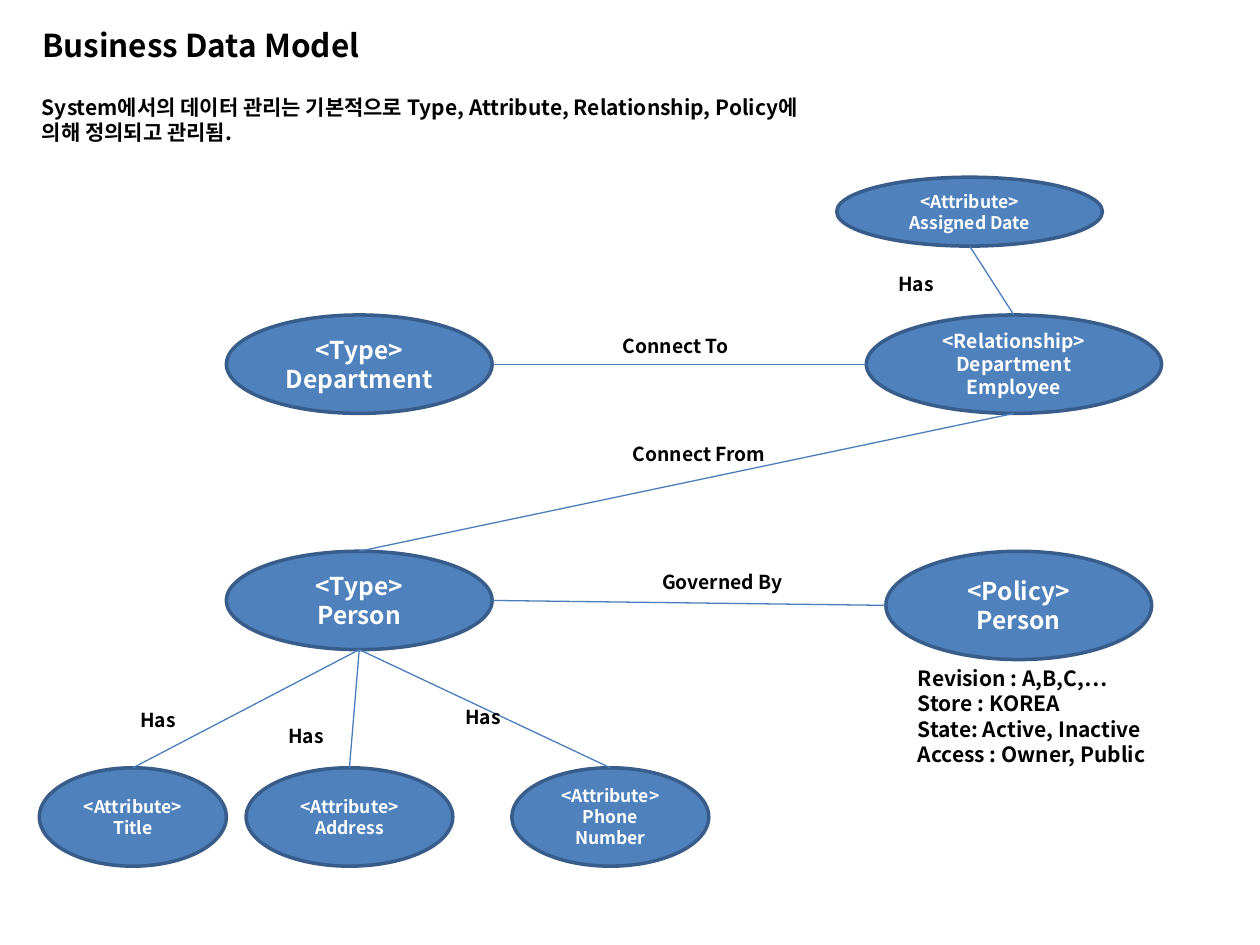
from lxml import etree
from pptx import Presentation
from pptx.dml.color import RGBColor
from pptx.enum.shapes import MSO_CONNECTOR, MSO_SHAPE
from pptx.enum.text import MSO_ANCHOR, MSO_AUTO_SIZE, PP_ALIGN
from pptx.oxml.ns import qn
from pptx.util import Inches, Pt

OVAL = MSO_SHAPE.OVAL
STRAIGHT = MSO_CONNECTOR.STRAIGHT
TOP, MIDDLE = MSO_ANCHOR.TOP, MSO_ANCHOR.MIDDLE
LEFT, CENTER = PP_ALIGN.LEFT, PP_ALIGN.CENTER
FIT_SHAPE, FIXED = MSO_AUTO_SIZE.SHAPE_TO_FIT_TEXT, MSO_AUTO_SIZE.NONE

FILL = RGBColor(0x4F, 0x81, 0xBD)
OUTLINE = RGBColor(0x38, 0x5D, 0x8A)
LINK = RGBColor(0x4A, 0x7E, 0xBB)
BLACK = RGBColor(0, 0, 0)
WHITE = RGBColor(255, 255, 255)

WIDTH, HEIGHT = Inches(10), Inches(7.5)
COLUMNS = 128
TYPE_ROW, ENTITY_ROW, ATTRIBUTE_ROW = 32, 56, 78


class Diagram:
    font = "Noto Sans CJK KR"

    def __init__(self, page):
        self.page = page

    def grid(self, *cells):
        return [round(cell * WIDTH / COLUMNS) for cell in cells]

    def set_text(self, shape, text, size, color, align=LEFT, anchor=TOP, fit=FIT_SHAPE):
        frame = shape.text_frame
        frame.text = text
        frame.word_wrap = True
        frame.auto_size = fit
        frame.vertical_anchor = anchor
        for para in frame.paragraphs:
            para.alignment = align
            for span in para.runs:
                span.font.name = self.font
                span.font.size = Pt(size)
                span.font.bold = True
                span.font.color.rgb = color
                east_asian = etree.SubElement(span.font._element, qn("a:ea"))
                east_asian.set("typeface", self.font)

    def title(self, text, *cells):
        title = self.page.shapes.title
        title.left, title.top, title.width, title.height = self.grid(*cells)
        self.set_text(title, text, 18, BLACK)

    def text(self, text, *cells, size=11):
        box = self.page.shapes.add_textbox(*self.grid(*cells))
        self.set_text(box, text, size, BLACK)

    def node(self, kind, name, *cells, size=10):
        oval = self.page.shapes.add_shape(OVAL, *self.grid(*cells))
        oval.shadow.inherit = False
        oval.fill.solid()
        oval.fill.fore_color.rgb = FILL
        oval.line.color.rgb = OUTLINE
        oval.line.width = Pt(2)
        self.set_text(oval, f"<{kind}>\n{name}", size, WHITE, CENTER, MIDDLE, FIXED)
        return oval

    def edge(self, oval, side):
        across, down = {"top": (0.5, 0), "bottom": (0.5, 1),
                        "left": (0, 0.5), "right": (1, 0.5)}[side]
        return round(oval.left + across * oval.width), round(oval.top + down * oval.height)

    def link(self, start, start_side, end, end_side):
        line = self.page.shapes.add_connector(
            STRAIGHT, *self.edge(start, start_side), *self.edge(end, end_side))
        line.line.color.rgb = LINK
        line.line.width = Pt(0.75)
        etree.SubElement(line._element.spPr, qn("a:effectLst"))


def main():
    deck = Presentation()
    deck.slide_width, deck.slide_height = WIDTH, HEIGHT
    diagram = Diagram(deck.slides.add_slide(deck.slide_layouts[5]))

    diagram.title("Business Data Model", 3, 2, 64, 5.1)
    diagram.text("System에서의 데이터 관리는 기본적으로 Type, Attribute, Relationship, Policy에\n"
                 "의해 정의되고 관리됨.", 3, 9, 82, 6.4, size=12)

    person = diagram.node("Type", "Person", 23, ENTITY_ROW, 27, 10, size=14)
    policy = diagram.node("Policy", "Person", 90, ENTITY_ROW, 27, 11, size=14)
    department = diagram.node("Type", "Department", 23, TYPE_ROW, 27, 10, size=14)
    relationship = diagram.node("Relationship", "Department Employee",
                                88, TYPE_ROW, 30, 10, size=11)
    assigned = diagram.node("Attribute", "Assigned Date", 85, 18, 27, 7)

    for name, left, width in (("Title", 4, 19), ("Address", 25, 21), ("Phone Number", 52, 20)):
        attribute = diagram.node("Attribute", name, left, ATTRIBUTE_ROW, width, 10)
        diagram.link(person, "bottom", attribute, "top")

    diagram.link(person, "right", policy, "left")
    diagram.link(department, "right", relationship, "left")
    diagram.link(relationship, "bottom", person, "top")
    diagram.link(assigned, "bottom", relationship, "top")

    for left, top in ((13, 71.3), (28, 73), (46, 71), (90, 27)):
        diagram.text("Has", left, top, 12, 3.7)
    for name, left, top in (("Governed By", 66, 57.3), ("Connect From", 63, 44.3),
                            ("Connect To", 62, 33.3)):
        diagram.text(name, left, top, 20, 3.7)

    diagram.text("Revision : A,B,C,…\nStore : KOREA\nState: Active, Inactive\n"
                 "Access : Owner, Public", 92, 67, 27, 11.5, size=12)

    deck.save("out.pptx")


if __name__ == "__main__":
    main()
